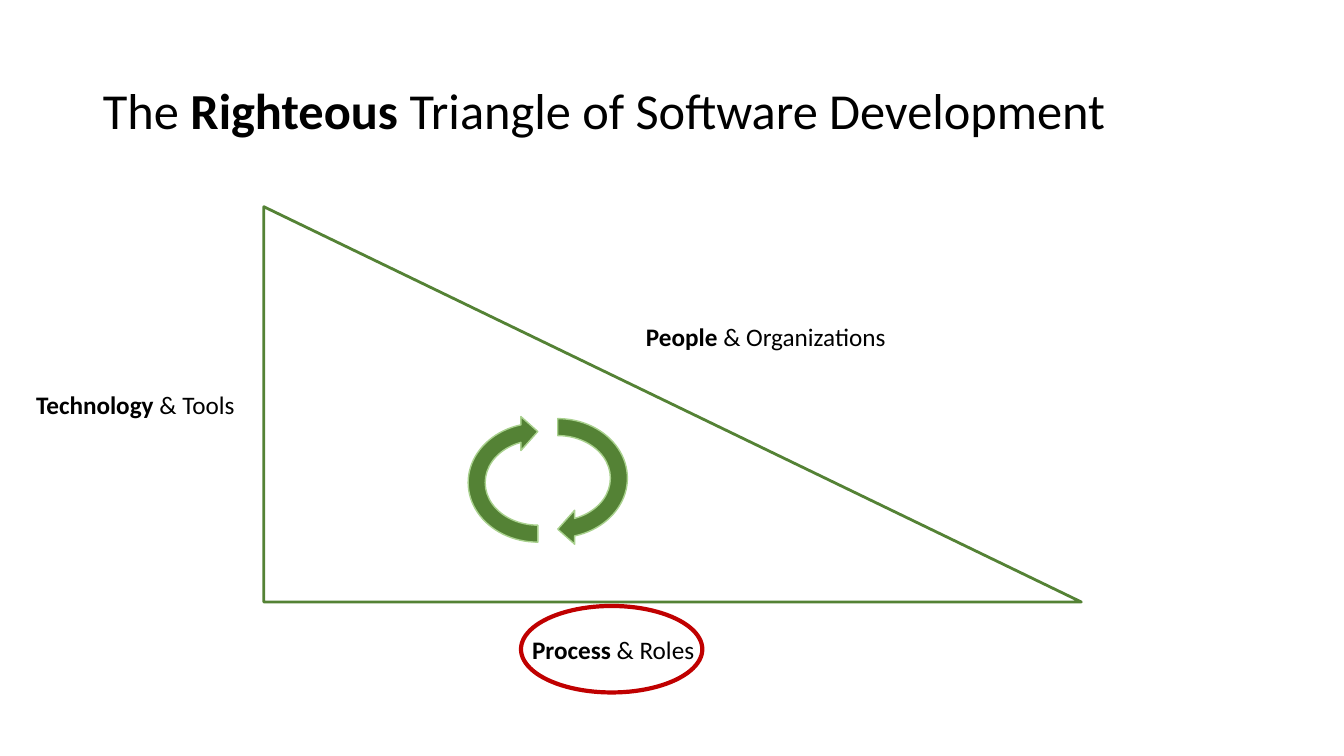
from dataclasses import dataclass

from pptx import Presentation
from pptx.dml.color import RGBColor
from pptx.enum.shapes import MSO_SHAPE
from pptx.enum.text import MSO_ANCHOR, MSO_AUTO_SIZE, PP_ALIGN
from pptx.slide import Slide
from pptx.text.text import _Paragraph
from pptx.util import Cm, Pt

TRIANGLE = MSO_SHAPE.RIGHT_TRIANGLE
CIRCULAR_ARROW = MSO_SHAPE.CIRCULAR_ARROW
OVAL = MSO_SHAPE.OVAL
MIDDLE = MSO_ANCHOR.MIDDLE
NO_FIT = MSO_AUTO_SIZE.NONE
GROW = MSO_AUTO_SIZE.SHAPE_TO_FIT_TEXT
LEFT = PP_ALIGN.LEFT

FONT = "Calibri"
COLOURS = {
    "text": "000000",
    "green": "548235",
    "light_green": "A9D18E",
    "red": "C00000",
}
TITLE_ONLY = 5
LABEL_WIDTH, LABEL_HEIGHT = 7.57, 1.02
ARROW_WIDTH, ARROW_HEIGHT = 3.43, 3.94


@dataclass(frozen=True)
class Label:
    left: float
    top: float
    bold: str
    plain: str


@dataclass(frozen=True)
class Figure:
    kind: MSO_SHAPE
    left: float
    top: float
    width: float
    height: float
    line: str
    line_width: float
    fill: str | None = None
    rotation: float = 0


SIDES = Figure(TRIANGLE, 6.65, 5.21, 20.6, 9.96, "green", 2)
LABELS = [
    Label(16.03, 7.98, "People", " & Organizations"),
    Label(13.16, 15.85, "Process", " & Roles"),
    Label(0.66, 9.68, "Technology", " & Tools"),
]
CYCLE = [
    Figure(CIRCULAR_ARROW, left, top, ARROW_WIDTH, ARROW_HEIGHT,
           "light_green", 1, "green", rotation)
    for left, top, rotation in [(12.34, 10.08, 90), (11.84, 10.19, 270)]
]
HIGHLIGHT = Figure(OVAL, 13.13, 15.27, 4.57, 2.18, "red", 3)


def colour(name: str) -> RGBColor:
    return RGBColor.from_string(COLOURS[name])


def add_spans(para: _Paragraph, size: float, spans: list[tuple[str, bool]]) -> None:
    for text, bold in spans:
        span = para.add_run()
        span.text = text
        span.font.name = FONT
        span.font.size = Pt(size)
        span.font.bold = bold
        span.font.color.rgb = colour("text")


def add_title(page: Slide) -> None:
    title = page.shapes.title
    title.left, title.top, title.width, title.height = (
        Cm(2.34), Cm(1.02), Cm(29.21), Cm(3.68))
    frame = title.text_frame
    frame.vertical_anchor = MIDDLE
    frame.auto_size = NO_FIT
    frame.word_wrap = True
    para = frame.paragraphs[0]
    para.alignment = LEFT
    para.line_spacing = 0.9
    add_spans(para, 36, [
        ("The ", False),
        ("Righteous", True),
        (" Triangle of Software Development", False),
    ])


def add_label(page: Slide, label: Label) -> None:
    box = page.shapes.add_textbox(
        Cm(label.left), Cm(label.top), Cm(LABEL_WIDTH), Cm(LABEL_HEIGHT))
    frame = box.text_frame
    frame.word_wrap = True
    frame.auto_size = GROW
    add_spans(frame.paragraphs[0], 18, [(label.bold, True), (label.plain, False)])


def add_figure(page: Slide, figure: Figure) -> None:
    shape = page.shapes.add_shape(
        figure.kind, Cm(figure.left), Cm(figure.top),
        Cm(figure.width), Cm(figure.height))
    shape.shadow.inherit = False
    shape.rotation = figure.rotation
    shape.line.color.rgb = colour(figure.line)
    shape.line.width = Pt(figure.line_width)
    if figure.fill:
        shape.fill.solid()
        shape.fill.fore_color.rgb = colour(figure.fill)
    else:
        shape.fill.background()


def main() -> None:
    deck = Presentation()
    deck.slide_width, deck.slide_height = Cm(33.87), Cm(19.05)
    page = deck.slides.add_slide(deck.slide_layouts[TITLE_ONLY])
    add_title(page)
    add_figure(page, SIDES)
    for label in LABELS:
        add_label(page, label)
    for figure in [*CYCLE, HIGHLIGHT]:
        add_figure(page, figure)
    deck.save("out.pptx")


if __name__ == "__main__":
    main()
